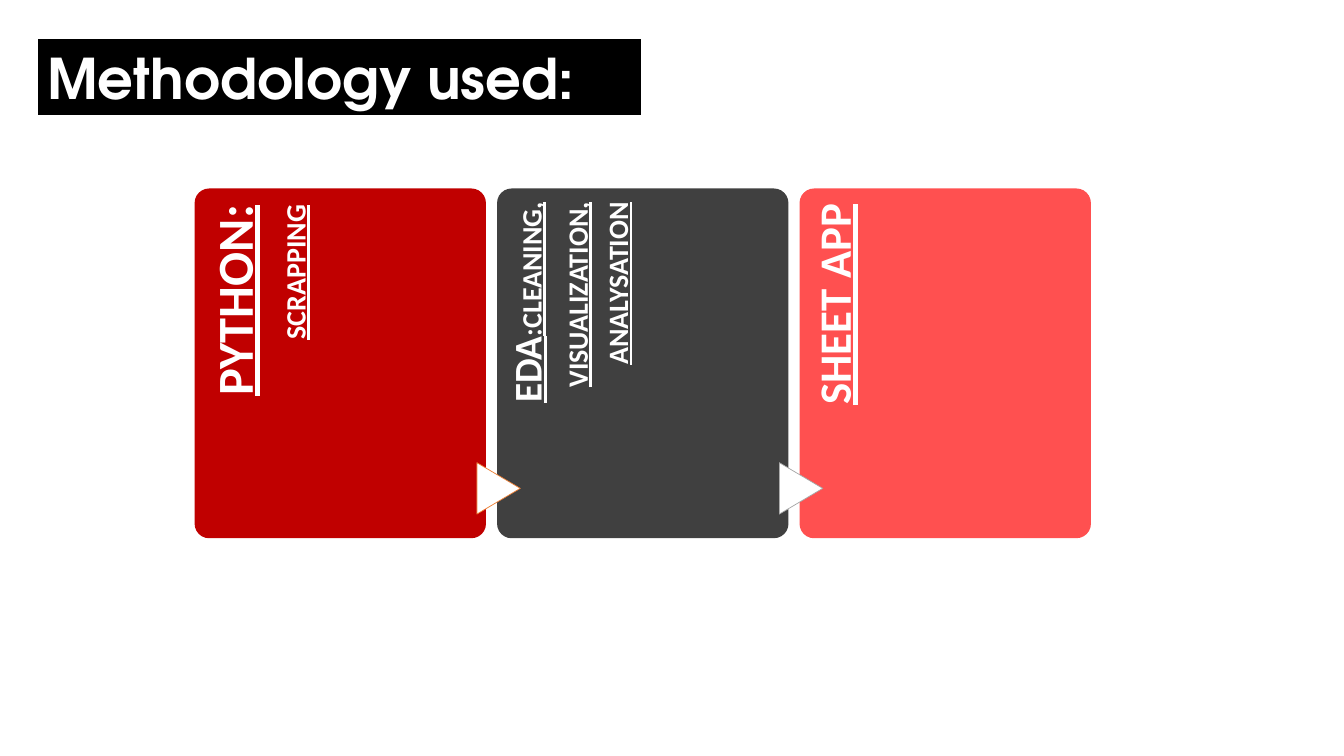
import pptx
import pptx.dml.color
import pptx.enum.shapes
import pptx.enum.text
import pptx.oxml
import pptx.oxml.ns
import pptx.util
from pptx.util import Inches

RGBColor = pptx.dml.color.RGBColor
SHAPES = pptx.enum.shapes.MSO_SHAPE
ALIGN = pptx.enum.text.PP_ALIGN

WHITE = RGBColor(0xFF, 0xFF, 0xFF)
BLACK = RGBColor(0, 0, 0)
RED = RGBColor(0xC0, 0, 0)
CHARCOAL = RGBColor(0x40, 0x40, 0x40)
CORAL = RGBColor(0xFF, 0x50, 0x50)
ORANGE = RGBColor(0xED, 0x7D, 0x31)
GREY = RGBColor(0xA5, 0xA5, 0xA5)

CARD_LEFT, CARD_TOP, CARD_WIDTH, CARD_HEIGHT = 1.93, 1.87, 2.89, 3.47
CARD_PITCH = 3.0
LABEL_LENGTH, LABEL_DEPTH = 2.85, 0.58

# Card colour, top and right label insets, paragraphs made of (text, size) runs
STEPS = [
    (RED, 0.14, 0.17, [[("PYTHON:", 36)], [("SCRAPPING", 20)]]),
    (CHARCOAL, 0.10, 0.14, [[("EDA", 28), (":CLEANING,", 20)],
                            [("VISUALIZATION,", 20)],
                            [("ANALYSATION", 20)]]),
    (CORAL, 0.12, 0.16, [[("SHEET APP", 32)]]),
]
ARROW_OUTLINES = [ORANGE, GREY]


def add_box(slide, kind, left, top, width, height, fill, outline=None):
    shape = slide.shapes.add_shape(
        kind, Inches(left), Inches(top), Inches(width), Inches(height))
    shape.shadow.inherit = False
    shape.fill.solid()
    shape.fill.fore_color.rgb = fill
    if outline is None:
        shape.line.fill.background()
    else:
        shape.line.color.rgb = outline
        shape.line.width = pptx.util.Pt(0.5)
    return shape


def add_text(slide, paragraphs, left, top, width, height, *, font="Calibri",
             align=ALIGN.LEFT, underline=False, rotation=0,
             insets=(0.1, 0.05, 0.1, 0.05), line_spacing=None, after_percent=None):
    box = slide.shapes.add_textbox(
        Inches(left), Inches(top), Inches(width), Inches(height))
    box.rotation = rotation
    frame = box.text_frame
    frame.word_wrap = True
    frame.vertical_anchor = pptx.enum.text.MSO_ANCHOR.TOP
    (frame.margin_left, frame.margin_top,
     frame.margin_right, frame.margin_bottom) = map(Inches, insets)
    for index, runs in enumerate(paragraphs):
        paragraph = frame.add_paragraph() if index else frame.paragraphs[0]
        paragraph.alignment = align
        if line_spacing:
            paragraph.line_spacing = line_spacing
        if after_percent:
            # Spacing as a share of the line height
            properties = paragraph._p.get_or_add_pPr()
            properties.append(pptx.oxml.parse_xml(
                f'<a:spcAft {pptx.oxml.ns.nsdecls("a")}>'
                f'<a:spcPct val="{after_percent * 1000}"/></a:spcAft>'))
        for text, size in runs:
            run = paragraph.add_run()
            run.text = text
            run.font.name = font
            run.font.size = pptx.util.Pt(size)
            run.font.bold = True
            run.font.underline = underline
            run.font.color.rgb = WHITE
    return box


def add_step(slide, left, colour, top_inset, right_inset, paragraphs):
    card = add_box(slide, SHAPES.ROUNDED_RECTANGLE, left, CARD_TOP,
                   CARD_WIDTH, CARD_HEIGHT, colour)
    card.adjustments[0] = 0.05
    # The label reads upwards, along the card's left edge
    add_text(slide, paragraphs, left - 1.13, 3, LABEL_LENGTH, LABEL_DEPTH,
             align=ALIGN.RIGHT, underline=True, rotation=270,
             insets=(0, top_inset, right_inset, 0),
             line_spacing=0.9, after_percent=35)


def add_arrow(slide, next_card_left, outline):
    arrow = add_box(slide, SHAPES.FLOWCHART_EXTRACT, next_card_left - 0.24, 4.63,
                    0.51, 0.43, WHITE, outline)
    arrow.rotation = 90


def add_title(slide):
    title = add_text(slide, [[("Methodology used:", 40)]], 0.37, 0.38, 6, 0.77,
                     font="TeX Gyre Adventor")
    title.text_frame.auto_size = pptx.enum.text.MSO_AUTO_SIZE.SHAPE_TO_FIT_TEXT
    title.fill.solid()
    title.fill.fore_color.rgb = BLACK
    title.line.color.rgb = WHITE
    title.line.width = pptx.util.Pt(1.5)


def main():
    presentation = pptx.Presentation()
    presentation.slide_width = Inches(13.33)
    presentation.slide_height = Inches(7.5)
    slide = presentation.slides.add_slide(presentation.slide_layouts[6])

    # Process cards, each joined to the one before by an arrow
    for index, step in enumerate(STEPS):
        left = CARD_LEFT + index * CARD_PITCH
        add_step(slide, left, *step)
        if index:
            add_arrow(slide, left, ARROW_OUTLINES[index - 1])

    add_title(slide)
    presentation.save("out.pptx")


if __name__ == "__main__":
    main()
